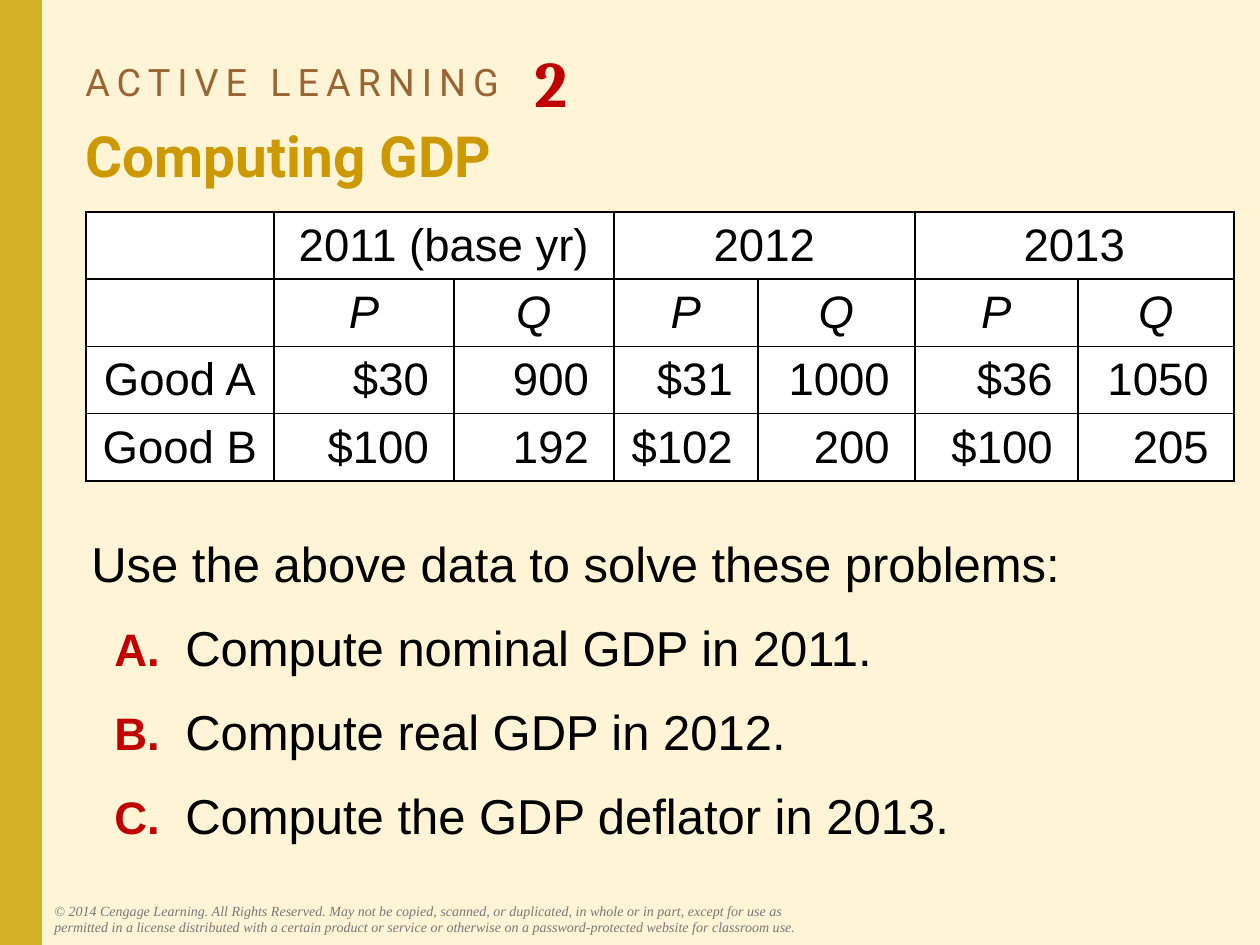
from pptx import Presentation
from pptx.dml.color import RGBColor
from pptx.enum.shapes import MSO_SHAPE as Shape
from pptx.enum.text import MSO_ANCHOR as Anchor, PP_ALIGN as Align
from pptx.oxml import parse_xml
from pptx.oxml.ns import nsdecls
from pptx.util import Emu, Pt

SCALE = 914400 / 126
INK = {
    "page": "FFF4D5", "bar": "D6B128", "brown": "996633", "gold": "CC9900",
    "red": "C00000", "black": "000000", "white": "FFFFFF", "gray": "777777",
}


def px(n):
    return Emu(round(n * SCALE))


def rgb(name):
    return RGBColor.from_string(INK[name])


class Deck:
    def __init__(self, wide, high):
        self.prs = Presentation()
        self.prs.slide_width, self.prs.slide_height = px(wide), px(high)
        self.slide = self.prs.slides.add_slide(self.prs.slide_layouts[6])
        self.font = "Arial"

    def back(self, color):
        fill = self.slide.background.fill
        fill.solid()
        fill.fore_color.rgb = rgb(color)

    def rect(self, box, color):
        shape = self.slide.shapes.add_shape(Shape.RECTANGLE, *map(px, box))
        shape.shadow.inherit = False
        shape.fill.solid()
        shape.fill.fore_color.rgb = rgb(color)
        shape.line.fill.background()

    def text(self, box, anchor=Anchor.TOP):
        frame = self.slide.shapes.add_textbox(*map(px, box)).text_frame
        frame.word_wrap = True
        frame.vertical_anchor = anchor
        return frame

    def run(self, para, text, size, color="black", font=None, bold=False,
            italic=False, **attrs):
        """Add a run; attrs are raw run properties such as spc or baseline."""
        run = para.add_run()
        run.text = text
        face = run.font
        face.name, face.size = font or self.font, Pt(size)
        face.bold, face.italic = bold, italic
        face.color.rgb = rgb(color)
        for key, val in attrs.items():
            run._r.get_or_add_rPr().set(key, str(val))

    def tab(self, para, pos):
        para._p.get_or_add_pPr().append(parse_xml(
            f'<a:tabLst {nsdecls("a")}><a:tab pos="{px(pos)}" algn="l"/></a:tabLst>'))

    def hang(self, para, left, indent):
        """Indent a paragraph and hang its label to the left."""
        props = para._p.get_or_add_pPr()
        props.set("marL", str(px(left)))
        props.set("indent", str(px(indent)))

    def table(self, spot, cols, high, count):
        left, top = spot
        table = self.slide.shapes.add_table(
            count, len(cols), px(left), px(top),
            px(sum(cols)), px(high * count)).table
        for col, wide in zip(table.columns, cols):
            col.width = px(wide)
        for row in table.rows:
            row.height = px(high)
        for cell in table.iter_cells():
            self.edge(cell)
            cell.fill.solid()
            cell.fill.fore_color.rgb = rgb("white")
            cell.vertical_anchor = Anchor.MIDDLE
            cell.text_frame.paragraphs[0].font.size = Pt(26)
        return table

    def edge(self, cell):
        props = cell._tc.get_or_add_tcPr()
        for side in "LRTB":
            props.append(parse_xml(
                f'<a:ln{side} {nsdecls("a")} w="12700"><a:solidFill>'
                f'<a:srgbClr val="{INK["black"]}"/></a:solidFill></a:ln{side}>'))

    def cell(self, cell, text, align=Align.CENTER, italic=False):
        para = cell.text_frame.paragraphs[0]
        para.alignment = align
        if align == Align.RIGHT:
            cell.margin_left, cell.margin_right = px(6), px(25)
        self.run(para, text, 26, italic=italic)


def head(deck):
    para = deck.text((73, 21, 1131, 131), Anchor.MIDDLE).paragraphs[0]
    deck.tab(para, 449)
    deck.run(para, "ACTIVE LEARNING\t", 21.6, "brown", "Roboto", spc=400)
    deck.run(para, "2", 63.9, "red", "Cambria", True, baseline=-10000)
    para.add_line_break()
    deck.run(para, "Computing GDP", 32.4, "gold", "Roboto", True)


def data(deck):
    years = ["2011 (base yr)", "2012", "2013"]
    goods = {
        "Good A": ["$30", "900", "$31", "1000", "$36", "1050"],
        "Good B": ["$100", "192", "$102", "200", "$100", "205"],
    }
    cols = [188, 180, 160, 144, 157, 163, 156]
    table = deck.table((86, 212), cols, 67, 2 + len(goods))
    for i, year in enumerate(years):
        col = 1 + 2 * i
        table.cell(0, col).merge(table.cell(0, col + 1))
        deck.cell(table.cell(0, col), year)
        for j, name in enumerate("PQ"):
            deck.cell(table.cell(1, col + j), name, italic=True)
    for row, (good, vals) in enumerate(goods.items(), 2):
        deck.cell(table.cell(row, 0), good)
        for col, val in enumerate(vals, 1):
            deck.cell(table.cell(row, col), val, Align.RIGHT)


def tasks(deck):
    frame = deck.text((79, 524, 1134, 350))
    para = frame.paragraphs[0]
    para.line_spacing = 1.05
    deck.run(para, "Use the above data to solve these problems:", 28)
    for mark, task in zip("ABC", [
            "Compute nominal GDP in 2011.",
            "Compute real GDP in 2012.",
            "Compute the GDP deflator in 2013."]):
        para = frame.add_paragraph()
        deck.hang(para, 94, -71)
        para.line_spacing = 1.05
        para.space_before = Pt(12.8)
        deck.run(para, f"{mark}.\t", 26, "red", bold=True)
        deck.run(para, task, 28)


def foot(deck):
    para = deck.text((42, 896, 779, 47)).paragraphs[0]
    deck.run(para, "© 2014 Cengage Learning. All Rights Reserved. May not be copied, "
             "scanned, or duplicated, in whole or in part, except for use as "
             "permitted in a license distributed with a certain product or "
             "service or otherwise on a password-protected website for "
             "classroom use.", 8, "gray", "Times New Roman", italic=True)


def main():
    deck = Deck(1260, 945)
    deck.back("page")
    deck.rect((0, 0, 42, 945), "bar")
    head(deck)
    foot(deck)
    tasks(deck)
    data(deck)
    deck.prs.save("out.pptx")


if __name__ == "__main__":
    main()
